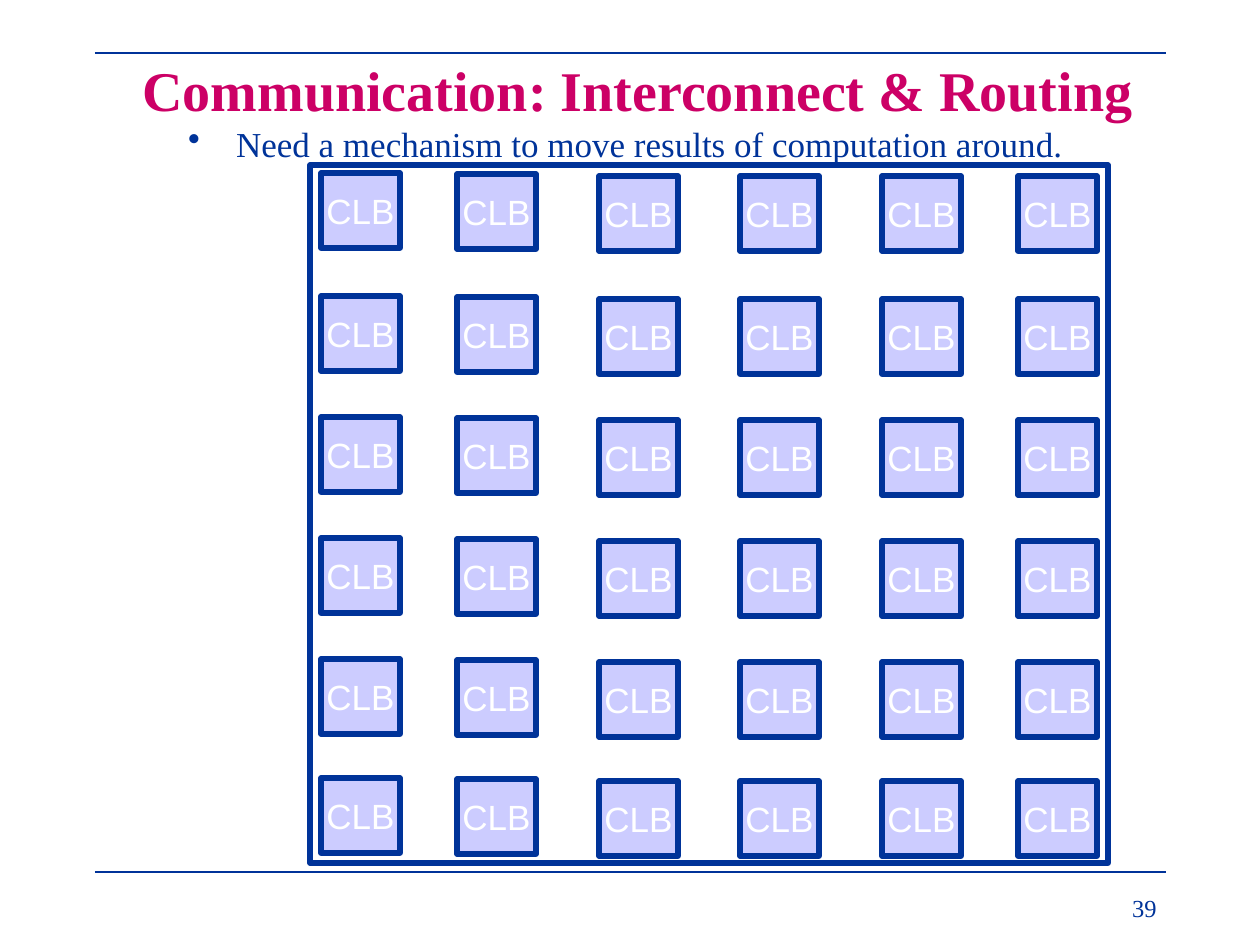
from lxml.etree import SubElement
from pptx import Presentation
from pptx.dml.color import RGBColor
from pptx.enum.shapes import MSO_CONNECTOR, MSO_SHAPE
from pptx.enum.text import MSO_ANCHOR as Anchor, PP_ALIGN as Align
from pptx.oxml.ns import qn
from pptx.util import Pt

EMU_PER_PX = 914400 / 126
NAVY, LAVENDER, MAGENTA, WHITE = "003399", "CCCCFF", "CC0066", "FFFFFF"
SERIF, SANS = "Times New Roman", "Arial"


def px(length):
    return round(length * EMU_PER_PX)


def color(hex_text):
    return RGBColor.from_string(hex_text)


class SlideBuilder:
    def __init__(self, slide):
        self.shapes = slide.shapes

    def rule(self, y):
        """Draw a thin horizontal line between the slide margins."""
        rule = self.shapes.add_connector(
            MSO_CONNECTOR.STRAIGHT, px(95), px(y), px(1166), px(y))
        rule.line.color.rgb = color(NAVY)
        rule.line.width = Pt(0.75)
        SubElement(rule._element.spPr, qn("a:effectLst"))

    def add_line_of_text(self, frame, text, size, font, ink, align,
                         bold=False, bullet_indent=0):
        paragraph = frame.paragraphs[0]
        paragraph.alignment = align
        if bullet_indent:
            properties = paragraph._p.get_or_add_pPr()
            properties.set("marL", str(px(bullet_indent)))
            properties.set("indent", str(-px(bullet_indent)))
            SubElement(properties, qn("a:buChar"), char="•")
        run = paragraph.add_run()
        run.text = text
        run.font.size = Pt(size)
        run.font.name = font
        run.font.bold = bold
        run.font.color.rgb = color(ink)

    def text(self, box, text, size, ink, align, anchor=Anchor.TOP, **style):
        frame = self.shapes.add_textbox(*map(px, box)).text_frame
        frame.word_wrap = True
        frame.vertical_anchor = anchor
        self.add_line_of_text(frame, text, size, SERIF, ink, align, **style)

    def rectangle(self, box, fill=None, label=None):
        block = self.shapes.add_shape(MSO_SHAPE.RECTANGLE, *map(px, box))
        block.shadow.inherit = False
        block.line.color.rgb = color(NAVY)
        block.line.width = Pt(3)
        if fill:
            block.fill.solid()
            block.fill.fore_color.rgb = color(fill)
        else:
            block.fill.background()
        if label:
            frame = block.text_frame
            frame.word_wrap = False
            frame.vertical_anchor = Anchor.MIDDLE
            self.add_line_of_text(frame, label, 20, SANS, WHITE, Align.CENTER)


def main():
    deck = Presentation()
    deck.slide_width, deck.slide_height = px(1260), px(945)
    builder = SlideBuilder(deck.slides.add_slide(deck.slide_layouts[6]))

    for rule_y in (872, 53):
        builder.rule(rule_y)
    builder.text((3, 116, 1245, 87),
                 "Need a mechanism to move results of computation around.",
                 20, NAVY, Align.CENTER, bullet_indent=48)
    builder.text((32, 37, 1212, 105), "Communication: Interconnect & Routing",
                 32, MAGENTA, Align.CENTER, Anchor.MIDDLE, bold=True)

    builder.rectangle((310, 165, 798, 698))
    # Left edge of each column and its small vertical offset
    columns = ((321, -1), (457, 0), (599, 2), (740, 2), (882, 2), (1018, 2))
    row_tops = (174, 297, 418, 539, 660, 779)
    for left, offset in columns:
        for top in row_tops:
            builder.rectangle((left, top + offset, 79, 75), LAVENDER, "CLB")

    builder.text((907, 887, 262, 49), "39", 14, NAVY, Align.RIGHT)
    deck.save("out.pptx")


if __name__ == "__main__":
    main()
